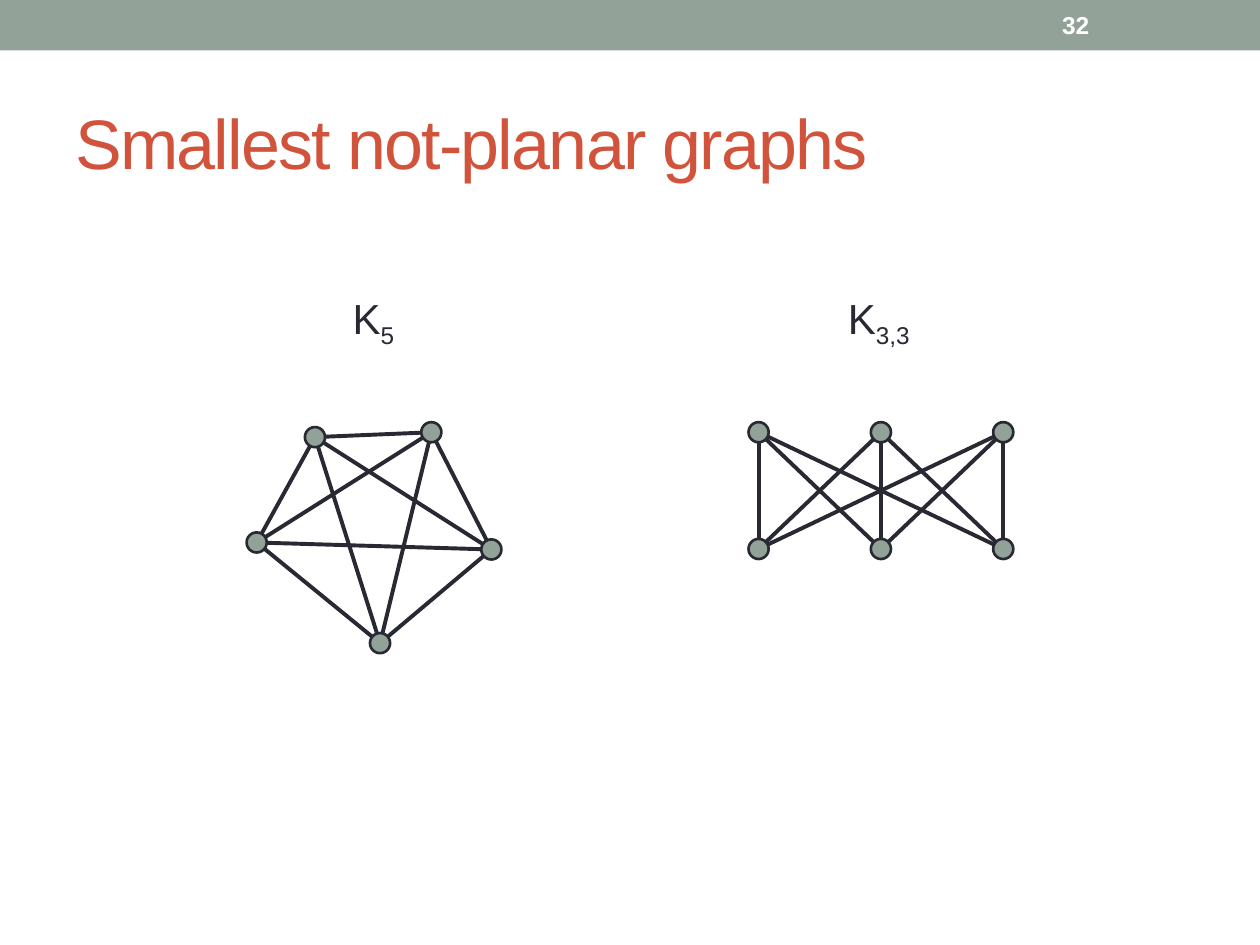
"""Build a slide that shows the two smallest non-planar graphs."""
from itertools import product

from lxml import etree
from pptx import Presentation
from pptx.dml.color import RGBColor
from pptx.enum.shapes import MSO_CONNECTOR, MSO_SHAPE
from pptx.enum.text import MSO_ANCHOR, MSO_AUTO_SIZE
from pptx.oxml.ns import qn
from pptx.util import Pt

RECTANGLE, ELLIPSE = MSO_SHAPE.RECTANGLE, MSO_SHAPE.OVAL
STRAIGHT = MSO_CONNECTOR.STRAIGHT
TOP, MIDDLE = MSO_ANCHOR.TOP, MSO_ANCHOR.MIDDLE
FIT_SHAPE = MSO_AUTO_SIZE.SHAPE_TO_FIT_TEXT
FIXED = MSO_AUTO_SIZE.NONE

COLORS = {"sage": "93A299", "title": "D2533C", "ink": "292934", "white": "FFFFFF"}
FONT = "Arial"
NODE_SIZE = 11.5
EDGE_WIDTH, NODE_OUTLINE = 2.25, 1.5

K5_NODES = [(180, 249.8), (246.5, 247), (280.8, 314), (217.2, 367.5), (146.7, 310)]
K33_COLUMNS = [433.5 + 69.9 * column for column in range(3)]
K33_TOP = [(x, 247) for x in K33_COLUMNS]
K33_BOTTOM = [(x, 313.7) for x in K33_COLUMNS]


def color(name):
    return RGBColor.from_string(COLORS[name])


def set_line(line, width):
    line.color.rgb = color("ink")
    line.width = Pt(width)


def add_header_band(slide):
    band = slide.shapes.add_shape(RECTANGLE, 0, 0, Pt(720), Pt(28.8))
    band.shadow.inherit = False
    band.fill.solid()
    band.fill.fore_color.rgb = color("sage")
    band.line.fill.background()


def add_text(slide, box, runs, size, ink, anchor=TOP, wrap=True, bold=False, spacing=0):
    """Add a text box; each run is a pair of text and baseline shift in percent."""
    label = slide.shapes.add_textbox(*map(Pt, box))
    frame = label.text_frame
    frame.word_wrap = wrap
    frame.auto_size = FIXED if wrap else FIT_SHAPE
    frame.vertical_anchor = anchor
    for text, baseline in runs:
        run = frame.paragraphs[0].add_run()
        run.text = text
        run.font.name = FONT
        run.font.size = Pt(size)
        run.font.bold = bold
        run.font.color.rgb = color(ink)
        properties = run.font._element
        if baseline:
            properties.set("baseline", str(baseline * 1000))
        if spacing:
            properties.set("spc", str(spacing * 100))


def add_cycle(graph, nodes):
    start, *others = [(Pt(x), Pt(y)) for x, y in nodes]
    builder = graph.shapes.build_freeform(*start, scale=1.0)
    builder.add_line_segments(others, close=True)
    cycle = builder.convert_to_shape()
    cycle.shadow.inherit = False
    cycle.fill.background()
    set_line(cycle.line, EDGE_WIDTH)


def add_edge(graph, start, end):
    edge = graph.shapes.add_connector(STRAIGHT, *map(Pt, start + end))
    set_line(edge.line, EDGE_WIDTH)
    etree.SubElement(edge._element.spPr, qn("a:effectLst"))


def add_node(graph, center):
    left, top = (Pt(value - NODE_SIZE / 2) for value in center)
    node = graph.shapes.add_shape(ELLIPSE, left, top, Pt(NODE_SIZE), Pt(NODE_SIZE))
    node.shadow.inherit = False
    node.fill.solid()
    node.fill.fore_color.rgb = color("sage")
    set_line(node.line, NODE_OUTLINE)


def add_k5(slide):
    graph = slide.shapes.add_group_shape()
    for step in (1, 2):
        add_cycle(graph, [K5_NODES[i * step % 5] for i in range(5)])
    for center in K5_NODES:
        add_node(graph, center)


def add_k33(slide):
    graph = slide.shapes.add_group_shape()
    for upper, lower in product(K33_TOP, K33_BOTTOM):
        add_edge(graph, upper, lower)
    for center in K33_TOP + K33_BOTTOM:
        add_node(graph, center)


def main():
    deck = Presentation()
    deck.slide_width, deck.slide_height = Pt(720), Pt(540)
    slide = deck.slides.add_slide(deck.slide_layouts[6])
    add_header_band(slide)
    add_text(slide, (36, 41.8, 648, 77.8), [("Smallest not-planar graphs", 0)],
             40, "title", anchor=MIDDLE, spacing=-1)
    add_k5(slide)
    add_k33(slide)
    add_text(slide, (194.4, 163.4, 38.9, 36), [("K", 0), ("5", -25)],
             24, "ink", wrap=False)
    add_text(slide, (477.4, 163.4, 52.6, 36), [("K", 0), ("3,3", -25)],
             24, "ink", wrap=False)
    add_text(slide, (599.8, 1.4, 84.2, 25.9), [("32", 0)],
             14, "white", anchor=MIDDLE, bold=True)
    deck.save("out.pptx")


if __name__ == "__main__":
    main()
